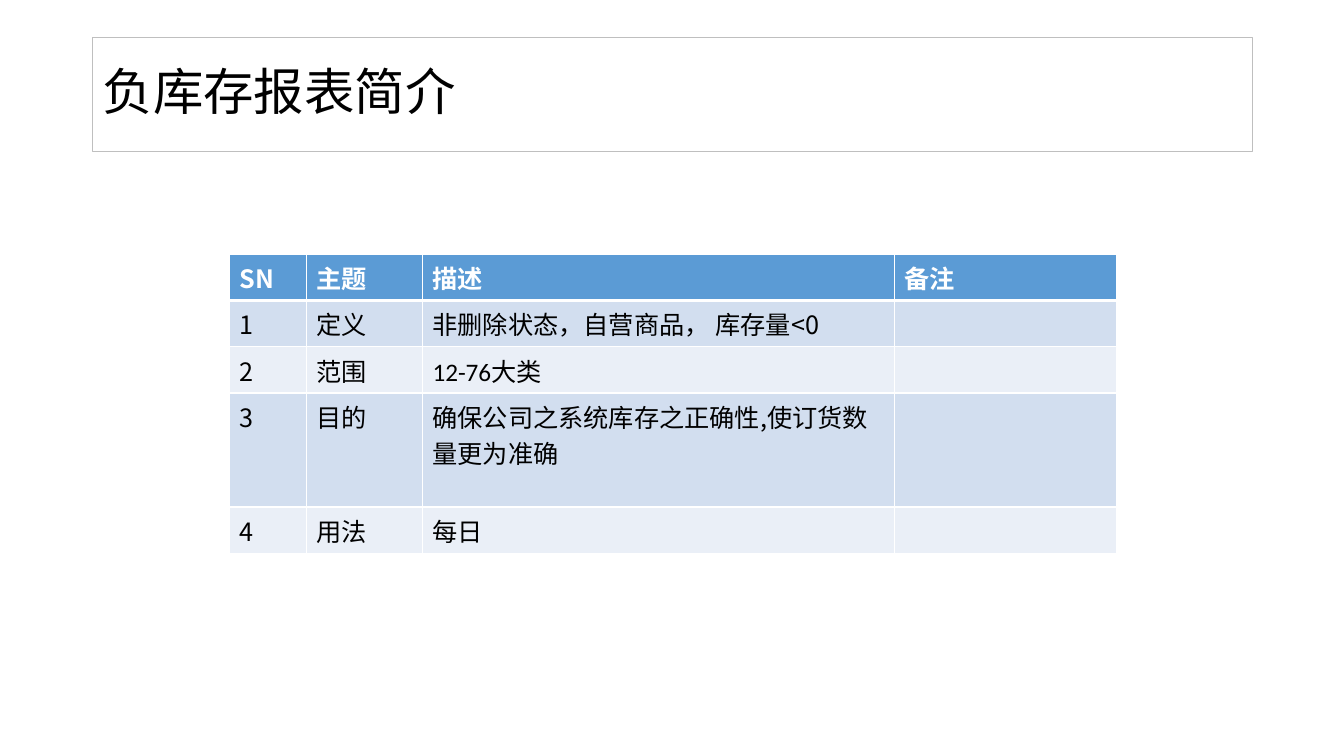
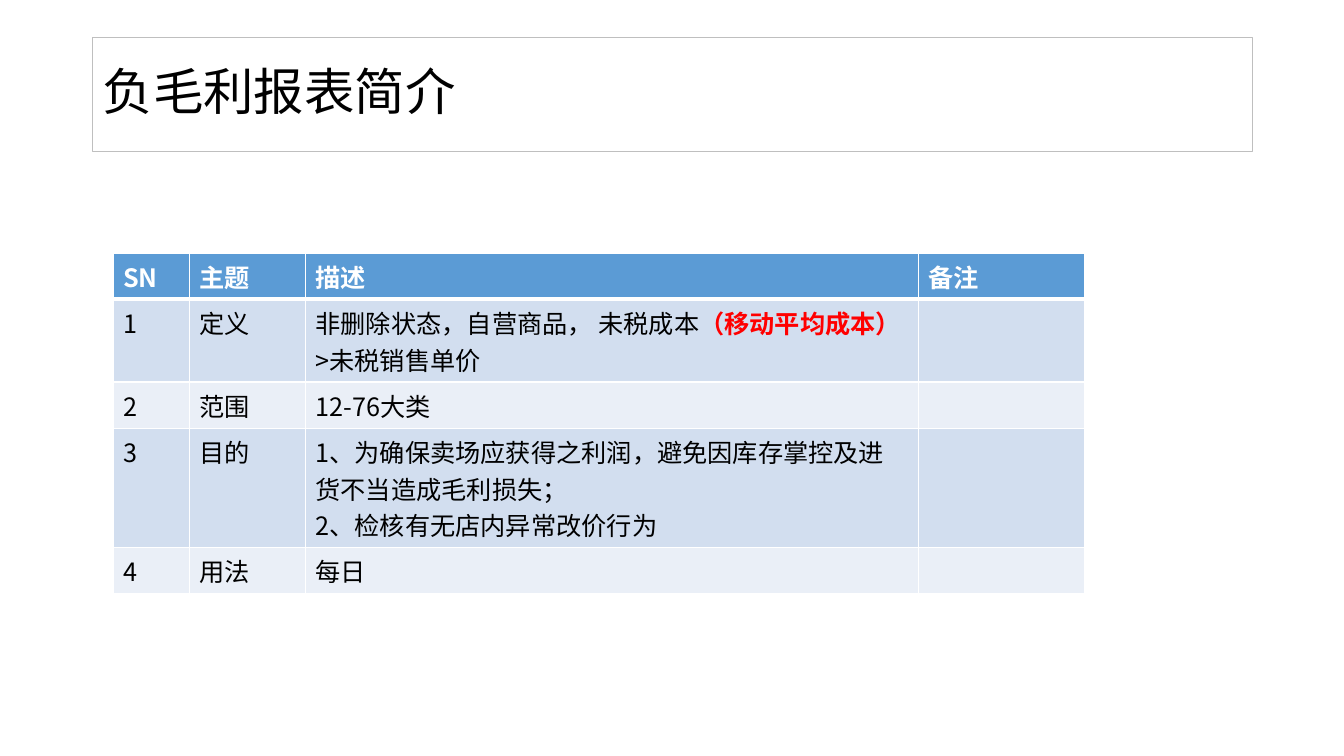
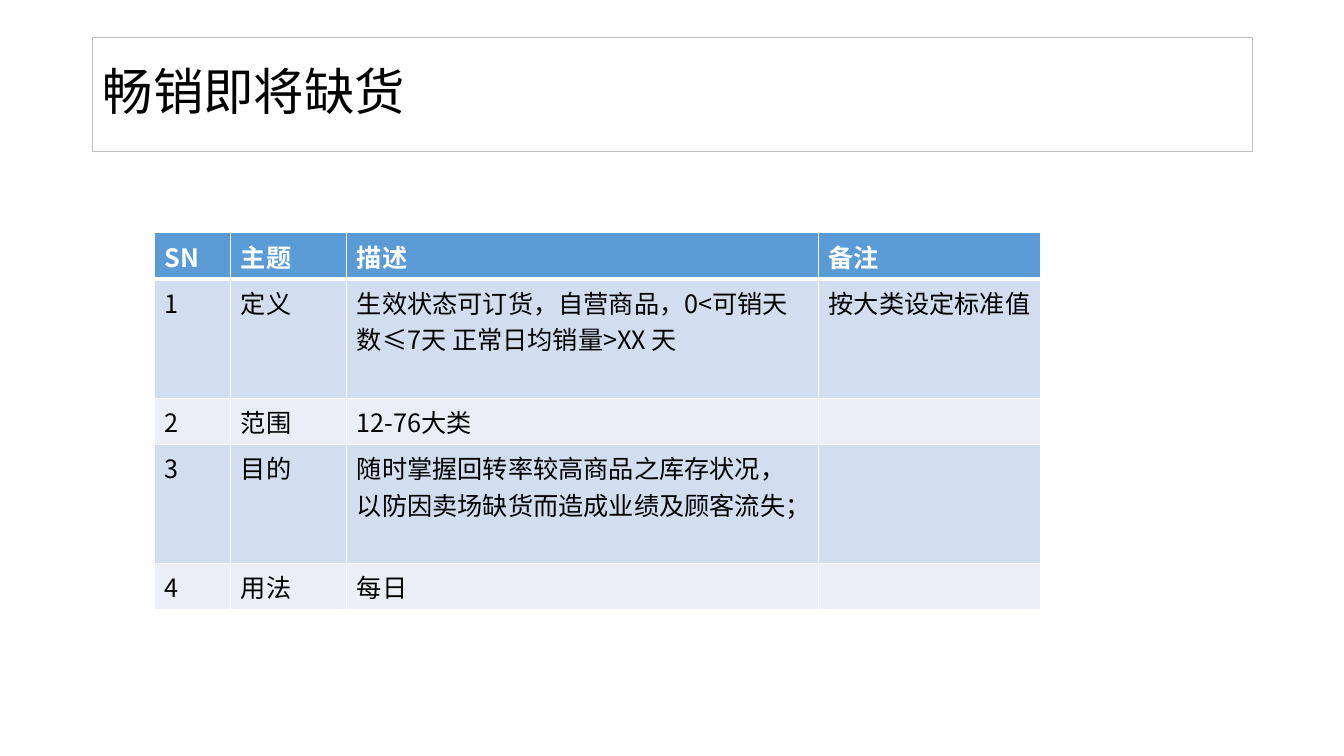
from pptx import Presentation
from pptx.dml.color import RGBColor
from pptx.enum.text import MSO_ANCHOR
from pptx.oxml.ns import qn
from pptx.util import Inches, Pt
from lxml.etree import SubElement

BLACK = RGBColor(0x00, 0x00, 0x00)
WHITE = RGBColor(0xFF, 0xFF, 0xFF)
RED = RGBColor(0xFF, 0x00, 0x00)
GREY = RGBColor(0xBF, 0xBF, 0xBF)
HEADER_BLUE = RGBColor(0x5B, 0x9B, 0xD5)
BAND_COLORS = (RGBColor(0xD2, 0xDE, 0xEF), RGBColor(0xEA, 0xEF, 0xF7))
CJK_FONT = "Noto Sans CJK SC"
LATIN_FONT = "Calibri"

HEADERS = ("SN", "主题", "描述", "备注")
TOPICS = ("定义", "范围", "目的", "用法")
SCOPE = "12-76大类"
USAGE = "每日"
HIGHLIGHT = "（移动平均成本）"

REPORTS = [
    {
        "title": "负库存报表简介",
        "at": (2.28, 2.52),
        "columns": (0.76, 1.15, 4.68, 2.2),
        "rows": (0.46, 0.46, 0.46, 1.13, 0.46),
        "descriptions": (
            "非删除状态，自营商品， 库存量<0",
            SCOPE,
            "确保公司之系统库存之正确性,使订货数量更为准确",
            USAGE,
        ),
        "remarks": ("", "", "", ""),
        "latin_cells": {(2, 2)},
    },
    {
        "title": "负毛利报表简介",
        "at": (1.12, 2.51),
        "columns": (0.76, 1.15, 6.08, 1.65),
        "rows": (0.46, 0.82, 0.46, 1.18, 0.46),
        "descriptions": (
            f"非删除状态，自营商品， 未税成本{HIGHLIGHT}>未税销售单价",
            SCOPE,
            "1、为确保卖场应获得之利润，避免因库存掌控及进货不当造成毛利损失；\n2、检核有无店内异常改价行为",
            USAGE,
        ),
        "remarks": ("", "", "", ""),
        "latin_cells": set(),
    },
    {
        "title": "畅销即将缺货",
        "at": (1.53, 2.31),
        "columns": (0.76, 1.15, 4.68, 2.2),
        "rows": (0.46, 1.18, 0.46, 1.18, 0.46),
        "descriptions": (
            "生效状态可订货，自营商品，0<可销天数≤7天 正常日均销量>XX 天",
            SCOPE,
            "随时掌握回转率较高商品之库存状况，以防因卖场缺货而造成业绩及顾客流失；",
            USAGE,
        ),
        "remarks": ("按大类设定标准值", "", "", ""),
        "latin_cells": set(),
    },
]


def set_font(paragraph, size, color, bold=False, name=CJK_FONT):
    font = paragraph.font
    font.size = Pt(size)
    font.bold = bold
    font.color.rgb = color
    font.name = name
    east_asian = SubElement(paragraph._p.pPr.find(qn("a:defRPr")), qn("a:ea"))
    east_asian.set("typeface", CJK_FONT)


def add_title(slide, text):
    title = slide.shapes.add_textbox(Inches(0.92), Inches(0.37), Inches(11.5), Inches(1.13))
    title.line.color.rgb = GREY
    title.line.width = Pt(0.75)
    frame = title.text_frame
    frame.word_wrap = True
    frame.vertical_anchor = MSO_ANCHOR.MIDDLE
    paragraph = frame.paragraphs[0]
    paragraph.text = text
    paragraph.line_spacing = 0.9
    set_font(paragraph, 36, BLACK)


def set_borders(cell, row_index):
    widths = {"L": 1, "R": 1, "T": 3 if row_index == 1 else 1, "B": 3 if row_index == 0 else 1}
    properties = cell._tc.get_or_add_tcPr()
    for side, width in widths.items():
        line = SubElement(properties, qn(f"a:ln{side}"), w=str(Pt(width)))
        fill = SubElement(line, qn("a:solidFill"))
        SubElement(fill, qn("a:srgbClr"), val=str(WHITE))


def fill_paragraph(paragraph, text):
    before, highlight, after = text.partition(HIGHLIGHT)
    for part in filter(None, (before, highlight, after)):
        run = paragraph.add_run()
        run.text = part
        if part == HIGHLIGHT:
            run.font.bold = True
            run.font.color.rgb = RED


def fill_cell(cell, row_index, text, font_name):
    header = row_index == 0
    set_borders(cell, row_index)
    cell.fill.solid()
    cell.fill.fore_color.rgb = HEADER_BLUE if header else BAND_COLORS[(row_index - 1) % 2]
    frame = cell.text_frame
    for index, line in enumerate(text.split("\n")):
        paragraph = frame.add_paragraph() if index else frame.paragraphs[0]
        fill_paragraph(paragraph, line)
        set_font(paragraph, 18, WHITE if header else BLACK, header, font_name)


def add_report_table(slide, report):
    numbers = map(str, range(1, len(TOPICS) + 1))
    content = [HEADERS, *zip(numbers, TOPICS, report["descriptions"], report["remarks"])]
    left, top = report["at"]
    table = slide.shapes.add_table(
        len(content), len(HEADERS), Inches(left), Inches(top),
        Inches(sum(report["columns"])), Inches(sum(report["rows"])),
    ).table
    for column, width in zip(table.columns, report["columns"]):
        column.width = Inches(width)
    for row, height in zip(table.rows, report["rows"]):
        row.height = Inches(height)
    for row_index, texts in enumerate(content):
        for column_index, text in enumerate(texts):
            latin = (row_index, column_index) in report["latin_cells"]
            fill_cell(table.cell(row_index, column_index), row_index, text,
                      LATIN_FONT if latin else CJK_FONT)


def main():
    presentation = Presentation()
    presentation.slide_width = Inches(13.33)
    presentation.slide_height = Inches(7.5)
    for report in REPORTS:
        slide = presentation.slides.add_slide(presentation.slide_layouts[6])
        add_title(slide, report["title"])
        add_report_table(slide, report)
    presentation.save("out.pptx")


if __name__ == "__main__":
    main()
